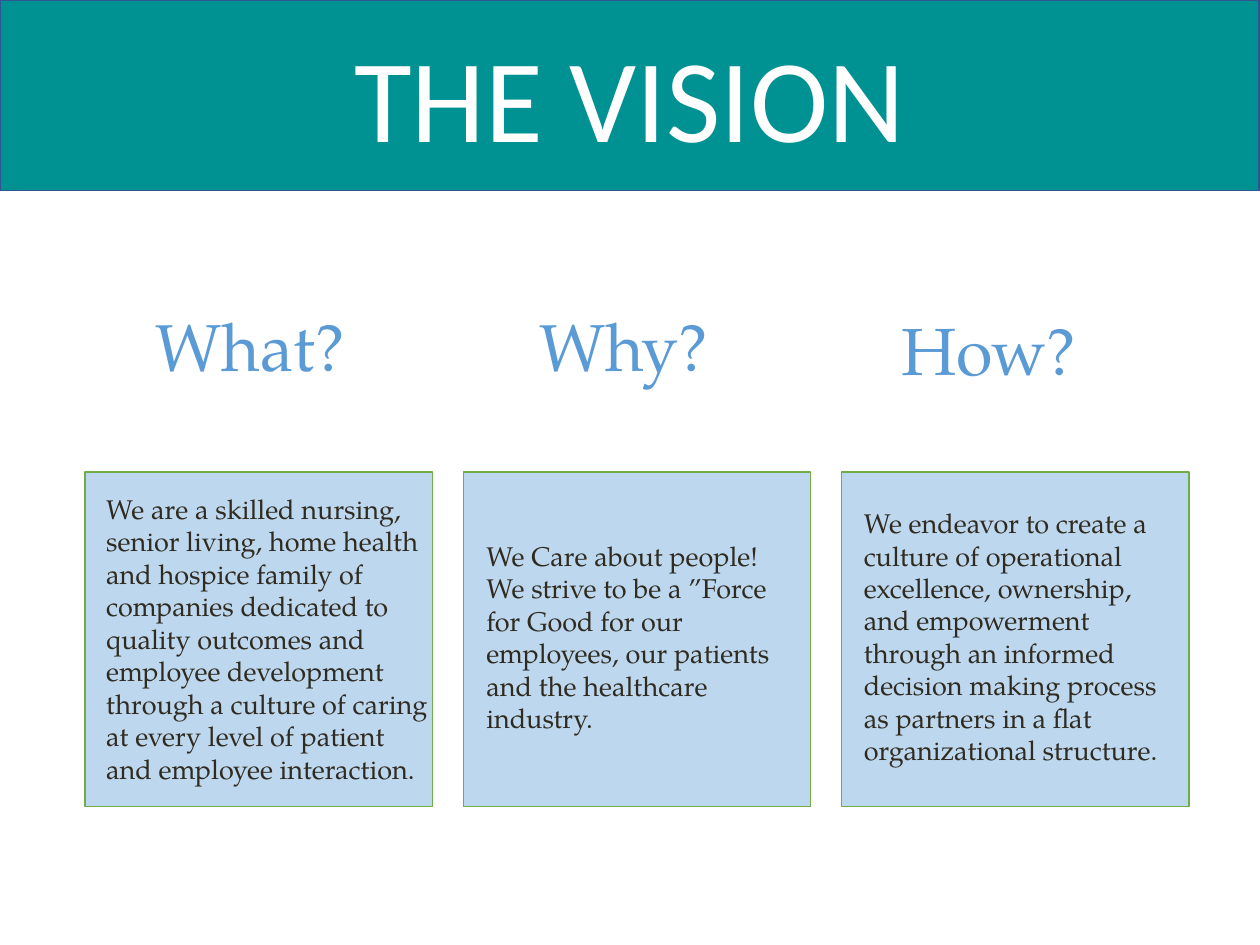
from typing import NamedTuple

from pptx import Presentation
from pptx.dml.color import RGBColor
from pptx.enum.shapes import MSO_SHAPE
from pptx.enum.text import MSO_ANCHOR, MSO_AUTO_SIZE, PP_ALIGN
from pptx.util import Emu, Pt

PX = 9144  # EMU per px, 100 px to the inch

WHITE = RGBColor(0xFF, 0xFF, 0xFF)
TEAL = RGBColor(0x00, 0x91, 0x93)
NAVY = RGBColor(0x32, 0x54, 0x91)
PALE_BLUE = RGBColor(0xBD, 0xD7, 0xEE)
GREEN = RGBColor(0x70, 0xAD, 0x47)
HEADING_BLUE = RGBColor(0x5B, 0x9B, 0xD5)
INK = RGBColor(0x2F, 0x2B, 0x20)

TITLE_FONT = "Calibri"
BODY_FONT = "TeX Gyre Pagella"

CARD_LEFT, CARD_TOP, CARD_WIDTH, CARD_HEIGHT = 96, 533, 392, 378
CARD_PITCH = 427


class Box(NamedTuple):
    left: int
    top: int
    width: int
    height: int

    def inner(self, left, top, width, height):
        return Box(self.left + left, self.top + top, width, height)

    def emu(self):
        return [Emu(value * PX) for value in self]


class Column(NamedTuple):
    heading: str
    heading_offset: tuple
    body: str
    body_area: tuple  # left, top, width, height within the card


COLUMNS = [
    Column("What?", (56, -193),
           "We are a skilled nursing, senior living, home health and hospice "
           "family of companies dedicated to quality outcomes and employee "
           "development through a culture of caring at every level of patient "
           "and employee interaction.", (14, 18, 392, 343)),
    Column("Why?", (51, -193),
           "We Care about people! We strive to be a ”Force for Good for our "
           "employees, our patients and the healthcare industry.",
           (16, 71, 350, 232)),
    Column("How?", (36, -189),
           "We endeavor to create a culture of operational excellence, "
           "ownership, and empowerment through an informed decision making "
           "process as partners in a flat organizational structure.",
           (15, 34, 361, 306)),
]


def paint(shape, fill, line):
    shape.fill.solid()
    shape.fill.fore_color.rgb = fill
    shape.line.color.rgb = line
    shape.line.width = Pt(1)


def write(shape, text, font_name, size, color, alignment):
    frame = shape.text_frame
    frame.word_wrap = True
    frame.auto_size = MSO_AUTO_SIZE.NONE
    frame.text = text
    paragraph = frame.paragraphs[0]
    paragraph.alignment = alignment
    paragraph.font.name = font_name
    paragraph.font.size = Pt(size)
    paragraph.font.color.rgb = color


def add_title_banner(slide, box):
    title = slide.shapes.title
    title.left, title.top, title.width, title.height = box.emu()
    paint(title, TEAL, NAVY)
    write(title, "THE VISION", TITLE_FONT, 96, WHITE, PP_ALIGN.CENTER)
    title.text_frame.vertical_anchor = MSO_ANCHOR.MIDDLE


def add_column(slide, box, column):
    # Card
    card = slide.shapes.add_shape(MSO_SHAPE.RECTANGLE, *box.emu())
    card.shadow.inherit = False
    paint(card, PALE_BLUE, GREEN)

    # Heading above the card
    heading_box = box.inner(*column.heading_offset, 260, 101)
    heading = slide.shapes.add_textbox(*heading_box.emu())
    write(heading, column.heading, BODY_FONT, 54, HEADING_BLUE, PP_ALIGN.CENTER)

    # Statement on the card
    body = slide.shapes.add_textbox(*box.inner(*column.body_area).emu())
    write(body, column.body, BODY_FONT, 22, INK, PP_ALIGN.LEFT)


def main():
    presentation = Presentation()
    presentation.slide_width = Emu(1422 * PX)
    presentation.slide_height = Emu(1067 * PX)
    title_only = presentation.slide_layouts.get_by_name("Title Only")
    slide = presentation.slides.add_slide(title_only)

    add_title_banner(slide, Box(0, 0, 1421, 215))
    for index, column in enumerate(COLUMNS):
        left = CARD_LEFT + index * CARD_PITCH
        add_column(slide, Box(left, CARD_TOP, CARD_WIDTH, CARD_HEIGHT), column)

    presentation.save("out.pptx")


if __name__ == "__main__":
    main()
